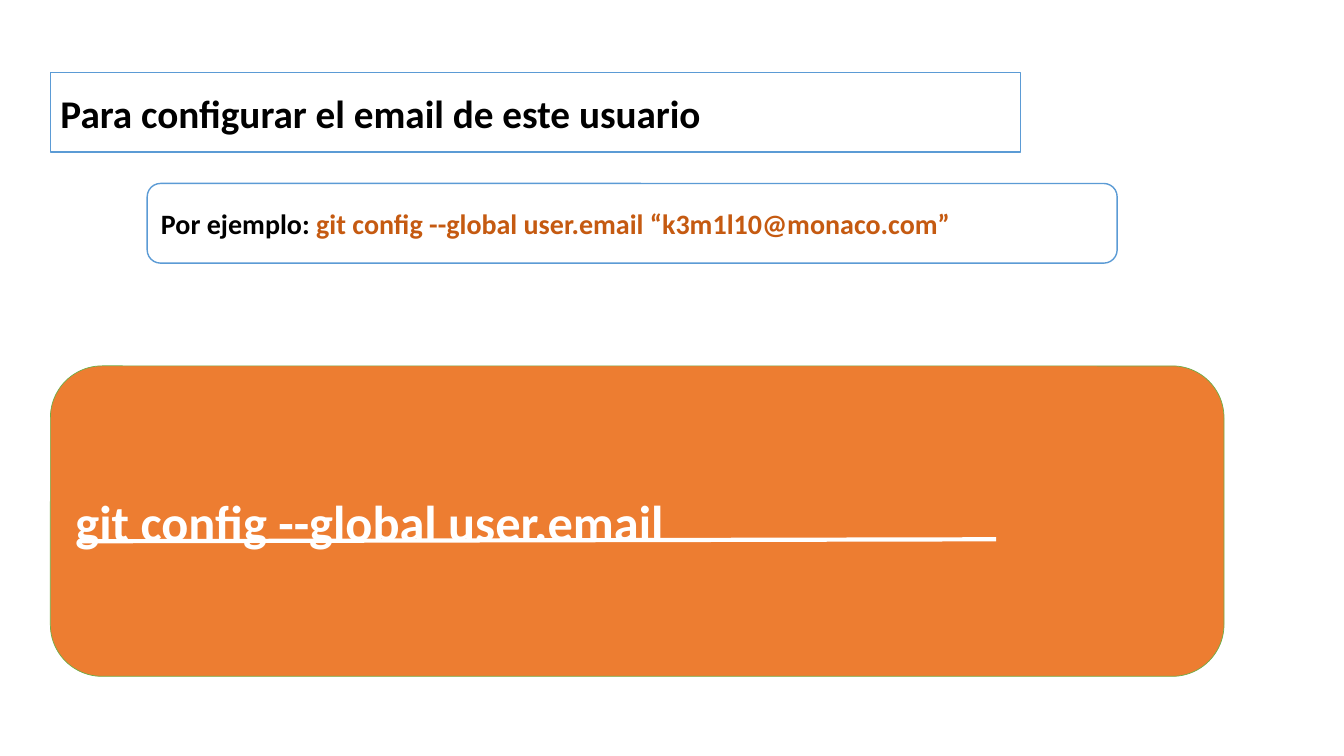
from lxml import etree
from pptx import Presentation
from pptx.dml.color import RGBColor
from pptx.enum.shapes import MSO_CONNECTOR as Connector, MSO_SHAPE as Shape
from pptx.enum.text import MSO_ANCHOR as Anchor, MSO_AUTO_SIZE as AutoSize, PP_ALIGN as Align
from pptx.oxml.ns import qn
from pptx.util import Inches, Pt

WHITE, BLACK, BLUE = "FFFFFF", "000000", "5B9BD5"
ORANGE, RUST, GREEN = "ED7D31", "C55A11", "70AD47"
COMMAND = "git config --global user.email"
LEFT, INDENT = 0.5, 0.96
LABEL_WIDTH, LABEL_HEIGHT = 9.62, 0.79


def color(value):
    return RGBColor.from_string(value)


def add_text(para, text, size=20, fill=BLACK):
    span = para.add_run()
    span.text = text
    span.font.name, span.font.size, span.font.bold = "Calibri", Pt(size), True
    span.font.color.rgb = color(fill)


def style_box(shape, fill, line, weight):
    """Format a box and return its paragraph, ready for text."""
    shape.fill.solid()
    shape.fill.fore_color.rgb = color(fill)
    shape.line.color.rgb = color(line)
    shape.line.width = Pt(weight)
    frame = shape.text_frame
    frame.word_wrap, frame.auto_size = True, AutoSize.NONE
    frame.vertical_anchor = Anchor.MIDDLE
    para = frame.paragraphs[0]
    para.alignment = Align.LEFT
    return para


def add_box(page, box, fill, line, weight):
    shape = page.shapes.add_shape(Shape.ROUNDED_RECTANGLE, *map(Inches, box))
    shape.shadow.inherit = False
    return style_box(shape, fill, line, weight)


def place_heading(page, box):
    title = page.shapes.title
    title.left, title.top, title.width, title.height = map(Inches, box)
    # Rounded outline for the title placeholder
    outline = etree.Element(qn("a:prstGeom"), prst="roundRect")
    etree.SubElement(outline, qn("a:avLst"))
    title.element.spPr.find(qn("a:xfrm")).addnext(outline)
    add_text(style_box(title, WHITE, BLUE, 1),
             "Para configurar el email de este usuario", size=28)


def place_example(page, box):
    para = add_box(page, box, WHITE, BLUE, 1)
    add_text(para, "Por ejemplo: ")
    add_text(para, f"{COMMAND} “k3m1l10@monaco.com”", fill=RUST)


def place_command(page, box):
    left, top, width, height = box
    para = add_box(page, box, ORANGE, GREEN, 0.5)
    add_text(para, COMMAND, size=36, fill=WHITE)
    # Blank to fill in, drawn under the command
    start = left + 0.28, top + 1.74
    end = left + 9.38, top + 1.72
    rule = page.shapes.add_connector(Connector.STRAIGHT, *map(Inches, start + end))
    rule.line.color.rgb = color(WHITE)
    rule.line.width = Pt(3)
    etree.SubElement(rule.element.spPr, qn("a:effectLst"))


deck = Presentation()
deck.slide_width, deck.slide_height = Inches(13.33), Inches(7.5)
page = deck.slides.add_slide(deck.slide_layouts.get_by_name("Title Only"))

place_heading(page, (LEFT, 0.72, LABEL_WIDTH, LABEL_HEIGHT))
place_example(page, (LEFT + INDENT, 1.82, LABEL_WIDTH, LABEL_HEIGHT))
place_command(page, (LEFT, 3.63, 11.64, 3.08))

deck.save("out.pptx")
